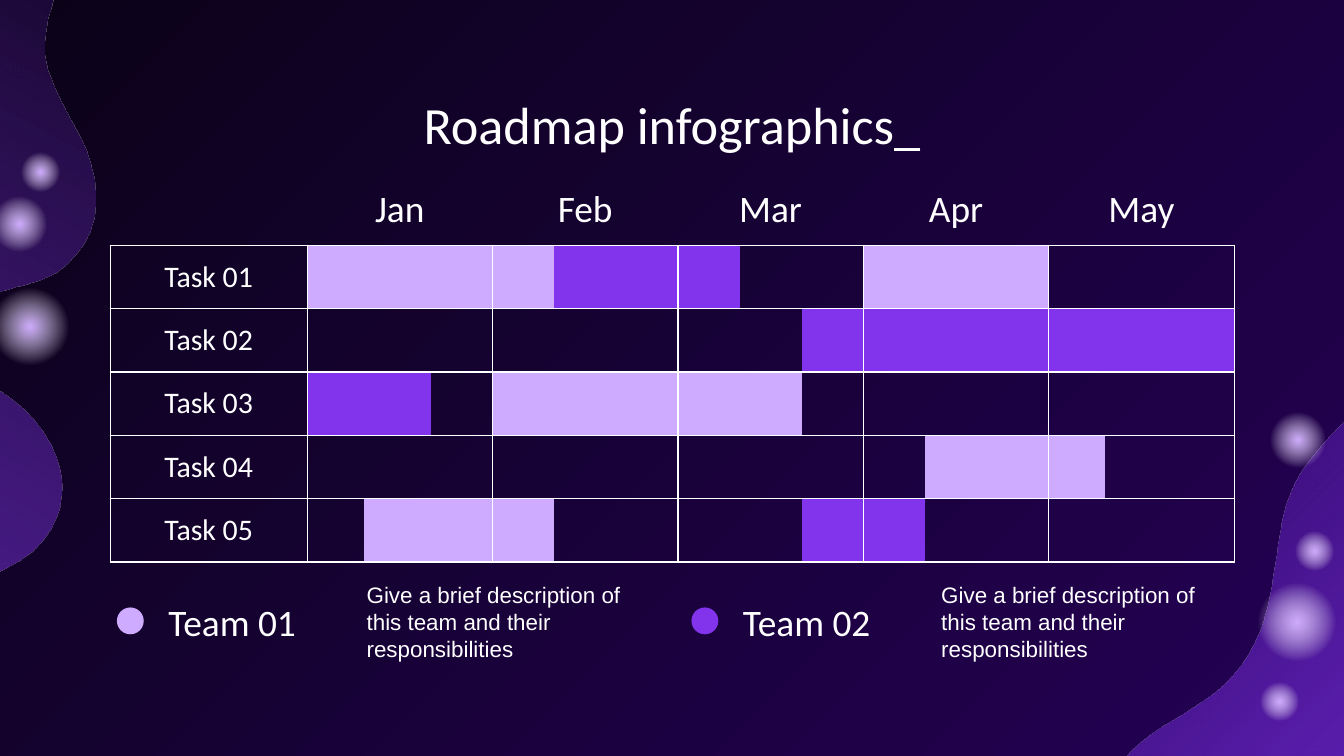
from dataclasses import dataclass
from math import cos, radians, sin
from typing import Any, NamedTuple, Optional

from pptx import Presentation
from pptx.dml.color import RGBColor as RGB
from pptx.enum.shapes import MSO_SHAPE as Shape
from pptx.enum.text import MSO_ANCHOR as Anchor, PP_ALIGN as Align
from pptx.oxml import parse_xml
from pptx.oxml.ns import nsdecls, qn
from pptx.util import Emu, Inches, Pt

WIDTH = Inches(10)
HEIGHT = WIDTH * 9 // 16
CELL = WIDTH // 100


@dataclass(frozen=True)
class Theme:
    night: str = "0B0218"
    indigo: str = "240155"
    white: str = "FFFFFF"
    lilac: str = "CEABFF"
    violet: str = "8134EC"
    head: str = "Calibri"
    body: str = "Arial"
    title_size: float = 28
    month_size: float = 20
    task_size: float = 16
    note_size: float = 12
    rule: float = 0.75


THEME = Theme()
TEAM_COLORS = (THEME.lilac, THEME.violet)
NO_STYLE = "{2D5ABB26-0587-4C30-8999-92F81FD0307C}"


class Box(NamedTuple):
    col: float
    row: float
    cols: float
    rows: float

    def emu(self) -> list[Emu]:
        return [Emu(round(v * CELL)) for v in self]


class Stop(NamedTuple):
    pos: int
    color: str
    alpha: int = 100


class Blob(NamedTuple):
    box: Box
    turn: float
    angle: int
    stops: list[Stop]
    start: tuple[float, float]
    segments: list[tuple[float, ...]]


class Bar(NamedTuple):
    task: int
    start: int
    thirds: int
    team: int


MONTHS = ["Jan", "Feb", "Mar", "Apr", "May"]
TASKS = [f"Task {n:02}" for n in range(1, 6)]
BARS = [
    Bar(1, 0, 4, 0), Bar(1, 4, 3, 1), Bar(1, 9, 3, 0),
    Bar(2, 8, 7, 1),
    Bar(3, 0, 2, 1), Bar(3, 3, 5, 0),
    Bar(4, 10, 3, 0),
    Bar(5, 1, 3, 0), Bar(5, 8, 2, 1),
]
NOTE = "Give a brief description of this team and their responsibilities"

LEFT_BLOB = Blob(Box(-35.6, 13.4, 66.7, 38.2), 72.9, 45, [
    Stop(0, THEME.night), Stop(100, THEME.violet, 70),
], (3.8, 0.5), [
    (3.5, 1.5, 3.2, 2.9, 3.3, 4), (3.5, 5.7, 4.4, 7.3, 5.2, 8.8),
    (5.8, 9.9, 6.4, 10.9, 6.7, 12.1), (7.6, 15, 7.1, 17.8, 4.9, 19.7),
    (2.8, 21.7, -0.6, 20.9, -2.6, 23.4), (-4.8, 26.2, -1, 28.3, 0.9, 29.7),
    (3.1, 31.3, 5.1, 34.5, 4.5, 37.3), (4.3, 38.7, 3.4, 40.1, 2.4, 41),
    (1.2, 42, -0.2, 42.4, -1.3, 43.3), (-2.4, 44.1, -3.6, 45.5, -3.7, 47),
    (-3.9, 48.5, -3.4, 50.1, -3.2, 51.6), (-2.2, 57.8, -3.9, 64.6, -8.5, 68.6),
    (-9.1, 69.1, -10, 69.8, -10.7, 70), (-30.4, 6.3), (6.4, -4),
    (5.3, -3.2, 4.2, -0.9, 3.8, 0.5),
])
RIGHT_BLOB = Blob(Box(72.9, 35, 38.5, 26.2), 90, 135, [
    Stop(0, THEME.violet, 70), Stop(100, THEME.indigo),
], (104, 67.4), [
    (104, 63.7, 103.9, 59.9, 104.1, 56.2), (104.4, 52.3, 104.9, 48.5, 104.9, 44.5),
    (104.9, 41.7, 104.7, 38.9, 104.7, 36.1), (104.7, 34.7, 105.3, 30.6, 103.7, 29.8),
    (101.8, 28.9, 98.2, 33.2, 97.3, 34.4), (95.5, 36.7, 95.3, 39, 94.9, 41.7),
    (94.5, 44.6, 94.1, 47.2, 92.3, 49.6), (90.8, 51.6, 88.6, 52.8, 86.4, 54.1),
    (84.3, 55.4, 82.6, 57.4, 81.4, 59.7), (80.4, 61.7, 79.2, 64.5, 79.1, 66.7),
    (80.6, 67, 82.2, 66.8, 83.7, 66.8), (85.3, 66.9, 86.8, 67.4, 88.3, 67.4),
    (89.9, 67.4, 91.5, 67.4, 93.1, 67.4), (102.1, 67.4),
])
GLOWS = [
    Box(92.9, 42.7, 7.2, 7.2), Box(96, 39.2, 3.6, 3.6), Box(93.4, 50.4, 3.6, 3.6),
    Box(94, 30.2, 5.1, 5.1), Box(-1.1, 14.1, 5.1, 5.1), Box(-1.4, 20.7, 7.2, 7.2),
    Box(1.2, 11, 3.6, 3.6),
]
GLOW_STOPS = [Stop(0, THEME.lilac), Stop(57, THEME.white, 0), Stop(100, THEME.white, 0)]


def apply(obj: Any, values: dict[str, Any]) -> None:
    for name, value in values.items():
        setattr(obj, name, value)


def gradient(owner: Any, element: Any, stops: list[Stop], angle: Optional[int]) -> None:
    owner.fill.gradient()
    old = element.find(".//" + qn("a:gradFill"))
    marks = "".join(
        f'<a:gs pos="{s.pos * 1000}"><a:srgbClr val="{s.color}">'
        f'<a:alpha val="{s.alpha * 1000}"/></a:srgbClr></a:gs>' for s in stops)
    if angle is None:
        way = ('<a:path path="circle"><a:fillToRect l="50000" t="50000" '
               'r="50000" b="50000"/></a:path>')
    else:
        way = f'<a:lin ang="{angle * 60000}" scaled="0"/>'
    new = parse_xml(f'<a:gradFill {nsdecls("a")} rotWithShape="1">'
                    f'<a:gsLst>{marks}</a:gsLst>{way}</a:gradFill>')
    old.getparent().replace(old, new)


def local_point(blob: Blob, x: float, y: float) -> str:
    col, row, cols, rows = blob.box
    dx, dy = x - col - cols / 2, y - row - rows / 2
    c, s = cos(radians(blob.turn)), sin(radians(blob.turn))
    px, py = dx * c + dy * s + cols / 2, dy * c - dx * s + rows / 2
    return f'<a:pt x="{round(px * CELL)}" y="{round(py * CELL)}"/>'


def draw_blob(s: Any, blob: Blob) -> None:
    left, top, width, height = blob.box.emu()
    builder = s.shapes.build_freeform(left, top)
    builder.add_line_segments([(left + width, top), (left + width, top + height)])
    sp = builder.convert_to_shape()
    sp.rotation = blob.turn
    sp.shadow.inherit = False
    sp.line.fill.background()
    gradient(sp, sp._element.spPr, blob.stops, blob.angle)
    steps = f"<a:moveTo>{local_point(blob, *blob.start)}</a:moveTo>"
    for seg in blob.segments:
        tag = "lnTo" if len(seg) == 2 else "cubicBezTo"
        points = "".join(local_point(blob, x, y) for x, y in zip(seg[::2], seg[1::2]))
        steps += f"<a:{tag}>{points}</a:{tag}>"
    old = sp._element.spPr.find(".//" + qn("a:path"))
    old.getparent().replace(old, parse_xml(
        f'<a:path {nsdecls("a")} w="{width}" h="{height}">{steps}<a:close/></a:path>'))


def draw_disc(s: Any, box: Box, color: Optional[str] = None) -> None:
    sp = s.shapes.add_shape(Shape.OVAL, *box.emu())
    sp.shadow.inherit = False
    sp.line.fill.background()
    if color:
        sp.fill.solid()
        sp.fill.fore_color.rgb = RGB.from_string(color)
    else:
        gradient(sp, sp._element.spPr, GLOW_STOPS, None)


def write(tf: Any, text: str, size: float, font: str, align: Align) -> None:
    p = tf.paragraphs[0]
    p.alignment = align
    r = p.add_run()
    r.text = text
    apply(r.font, {"size": Pt(size), "name": font})
    r.font.color.rgb = RGB.from_string(THEME.white)


def insets(anchor: Anchor) -> dict[str, Any]:
    sides = ("left", "top", "right", "bottom")
    return {"vertical_anchor": anchor, **{f"margin_{side}": CELL for side in sides}}


def draw_text(s: Any, box: Box, text: str, size: float, font: str = THEME.head,
              align: Align = Align.LEFT, anchor: Anchor = Anchor.MIDDLE) -> None:
    tf = s.shapes.add_textbox(*box.emu()).text_frame
    apply(tf, {"word_wrap": True, **insets(anchor)})
    write(tf, text, size, font, align)


def fill_cell(cell: Any, color: Optional[str], edges: str) -> None:
    cell.fill.background()
    if color:
        cell.fill.solid()
        cell.fill.fore_color.rgb = RGB.from_string(color)
    for n, edge in enumerate(e for e in "LRTB" if e in edges):
        cell._tc.get_or_add_tcPr().insert(n, parse_xml(
            f'<a:ln{edge} {nsdecls("a")} w="{Pt(THEME.rule)}"><a:solidFill>'
            f'<a:srgbClr val="{THEME.white}"/></a:solidFill></a:ln{edge}>'))


def draw_roadmap(s: Any) -> None:
    widths = [14.65] + [4.6] * 15
    for month in (0, 4):
        widths[1 + 3 * month:3 + 3 * month] = [4.2, 5]
    heights = [5.3] + [4.72] * len(TASKS)
    box = Box(8.2, 12.9, 32.8, 32.8)
    frame = s.shapes.add_table(len(heights), len(widths), *box.emu())
    table = frame.table
    apply(table, {"first_row": False, "horz_banding": False})
    table._tbl.tblPr.find(qn("a:tableStyleId")).text = NO_STYLE
    for col, width in zip(table.columns, widths):
        col.width = Emu(round(width * CELL))
    for row, height in zip(table.rows, heights):
        row.height = Emu(round(height * CELL))
    apply(frame, dict(zip(("left", "top", "width", "height"), box.emu())))

    colors = {(b.task, b.start + n + 1): TEAM_COLORS[b.team]
              for b in BARS for n in range(b.thirds)}
    for row in range(len(heights)):
        for col in range(len(widths)):
            edges = "B" if row == 0 else "LRTB" if col == 0 else "TB"
            if row and col and col % 3 == 0:
                edges += "R"
            fill_cell(table.cell(row, col), colors.get((row, col)), edges)
    labels = [(0, 1 + 3 * n, m, THEME.month_size) for n, m in enumerate(MONTHS)]
    labels += [(n, 0, t, THEME.task_size) for n, t in enumerate(TASKS, 1)]
    for row, col, text, size in labels:
        cell = table.cell(row, col)
        if row == 0:
            cell.merge(table.cell(0, col + 2))
        apply(cell, insets(Anchor.MIDDLE))
        write(cell.text_frame, text, size, THEME.head, Align.CENTER)


def draw_legend(s: Any) -> None:
    for n, color in enumerate(TEAM_COLORS):
        left = 8.7 + 42.75 * n
        draw_text(s, Box(left + 2.85, 42.5, 14.7, 7.5), f"Team {n + 1:02}", THEME.month_size)
        draw_text(s, Box(left + 17.6, 42.5, 22.3, 7.5), NOTE, THEME.note_size, THEME.body)
        draw_disc(s, Box(left, 45.2, 2, 2), color)


def main() -> None:
    prs = Presentation()
    apply(prs, {"slide_width": WIDTH, "slide_height": HEIGHT})
    s = prs.slides.add_slide(prs.slide_layouts[6])
    gradient(s.background, s._element, [Stop(0, THEME.night), Stop(100, THEME.indigo)], 45)
    for blob in (LEFT_BLOB, RIGHT_BLOB):
        draw_blob(s, blob)
    for glow in GLOWS:
        draw_disc(s, glow)
    draw_text(s, Box(7.85, 5.9, 84.3, 6.3), "Roadmap infographics_", THEME.title_size,
              align=Align.CENTER, anchor=Anchor.TOP)
    draw_roadmap(s)
    draw_legend(s)
    prs.save("out.pptx")


if __name__ == "__main__":
    main()
